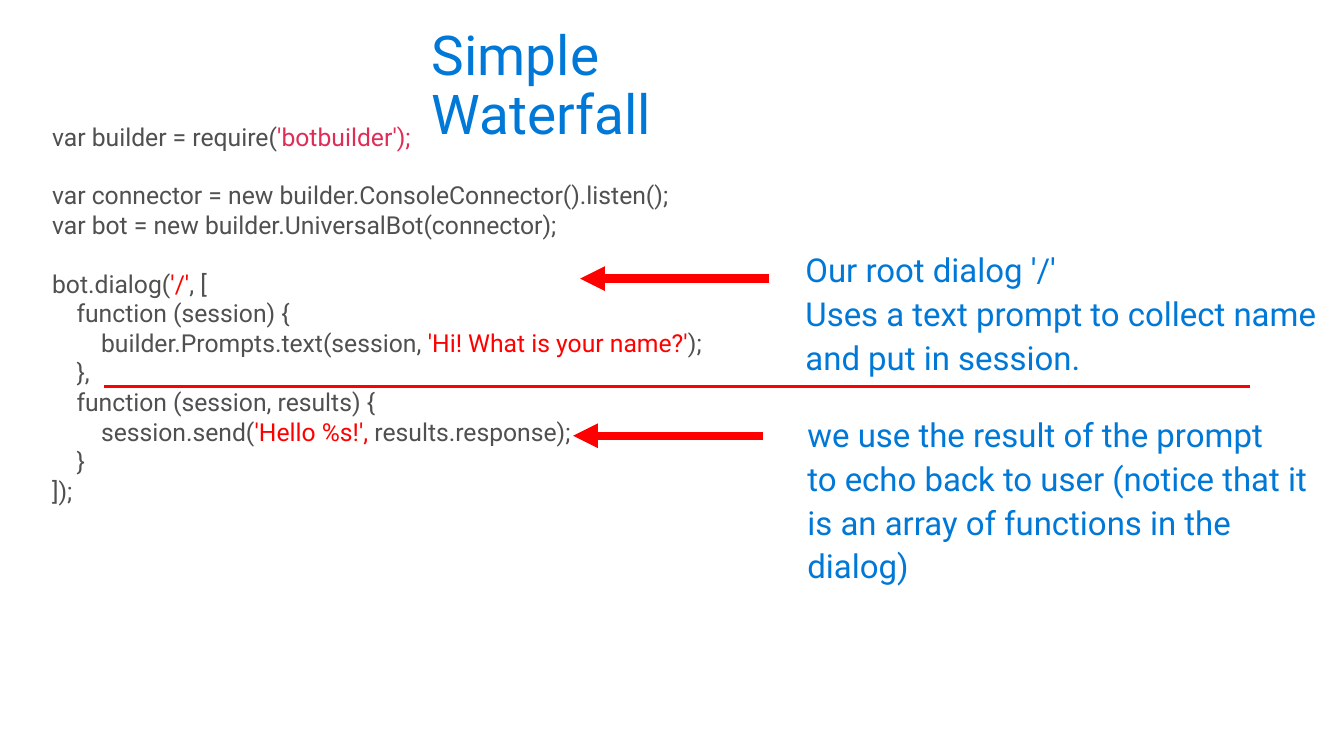
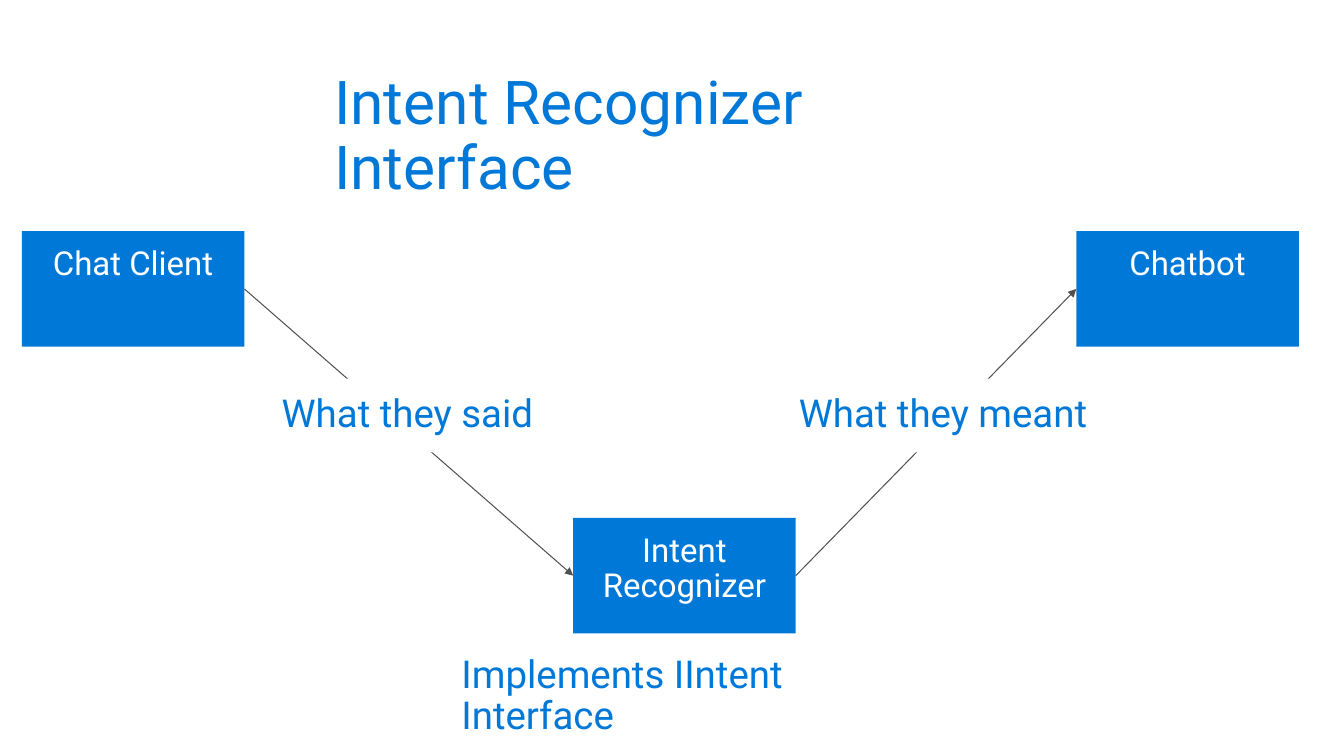
import lxml.etree
import pptx
import pptx.util
import pptx.dml.color
import pptx.enum.shapes
import pptx.enum.text
import pptx.oxml.ns

Cm = pptx.util.Cm
Pt = pptx.util.Pt
RGBColor = pptx.dml.color.RGBColor
PP_ALIGN = pptx.enum.text.PP_ALIGN
RECT = pptx.enum.shapes.MSO_SHAPE.RECTANGLE
qn = pptx.oxml.ns.qn

BLUE = RGBColor(0x00, 0x78, 0xD7)
GREY = RGBColor(0x50, 0x50, 0x50)
RED = RGBColor(0xFF, 0x00, 0x00)
PINK = RGBColor(0xDE, 0x2E, 0x58)
WHITE = RGBColor(0xFF, 0xFF, 0xFF)
FONT = "Roboto"
RIGHT_SIDE, LEFT_SIDE = 3, 1

CODE = [
    [("var builder = require(", GREY), ("'botbuilder');", PINK)],
    [],
    [("var connector = new builder.ConsoleConnector().listen();", GREY)],
    [("var bot = new builder.UniversalBot(connector);", GREY)],
    [],
    [("bot.dialog(", GREY), ("'/'", RED), (", [", GREY)],
    [("    function (session) {", GREY)],
    [("        builder.Prompts.text(session, ", GREY),
     ("'Hi! What is your name?'", RED), (");", GREY)],
    [("    },", GREY)],
    [("    function (session, results) {", GREY)],
    [("        session.send(", GREY), ("'Hello %s!', ", RED),
     ("results.response);", GREY)],
    [("    }", GREY)],
    [("]);", GREY)],
]


def set_font(p, size, color=None):
    p.font.name = FONT
    p.font.size = Pt(size)
    if color is not None:
        p.font.color.rgb = color


def write(sp, lines, size, color=BLUE, align=PP_ALIGN.LEFT, after=6):
    tf = sp.text_frame
    tf.word_wrap = True
    tf.auto_size = pptx.enum.text.MSO_AUTO_SIZE.NONE
    tf.vertical_anchor = pptx.enum.text.MSO_ANCHOR.TOP
    tf.margin_left = tf.margin_right = Cm(0.51)
    tf.margin_top = tf.margin_bottom = Cm(0.41)
    for i, line in enumerate(lines):
        p = tf.add_paragraph() if i else tf.paragraphs[0]
        p.text = line
        p.alignment = align
        p.line_spacing = 0.9
        p.space_before = Pt(0)
        p.space_after = Pt(after)
        set_font(p, size, color)


def add_titled_slide(prs, title, x, y, w, h, size):
    slide = prs.slides.add_slide(prs.slide_layouts[5])
    sp = slide.shapes.title
    sp.left, sp.top, sp.width, sp.height = Cm(x), Cm(y), Cm(w), Cm(h)
    write(sp, [title], size)
    return slide


def add_code(slide, lines, x, y, w, h, size):
    tf = slide.shapes.add_textbox(Cm(x), Cm(y), Cm(w), Cm(h)).text_frame
    tf.word_wrap = True
    p, gap = tf.paragraphs[0], 0
    for i, line in enumerate(lines):
        if not line:
            gap = size * 1.17
            continue
        if i:
            p = tf.add_paragraph()
        p.space_before = Pt(gap)
        gap = 0
        set_font(p, size)
        for text, color in line:
            r = p.add_run()
            r.text = text
            r.font.color.rgb = color


def add_note(slide, lines, x, y, w, h):
    write(slide.shapes.add_textbox(Cm(x), Cm(y), Cm(w), Cm(h)), lines, 24)


def add_rect(slide, x, y, w, h, fill):
    sp = slide.shapes.add_shape(RECT, Cm(x), Cm(y), Cm(w), Cm(h))
    sp.shadow.inherit = False
    sp.fill.solid()
    sp.fill.fore_color.rgb = fill
    sp.line.fill.background()
    return sp


def add_box(slide, lines, x, y):
    sp = add_rect(slide, x, y, 5.72, 2.97, BLUE)
    write(sp, lines, 24, WHITE, PP_ALIGN.CENTER, after=0)
    return sp


def add_label(slide, text, x, y, w):
    write(add_rect(slide, x, y, w, 1.9, WHITE), [text], 28)


def add_line(slide, x1, y1, x2, y2, color, width, arrow=True):
    line = slide.shapes.add_connector(
        pptx.enum.shapes.MSO_CONNECTOR.STRAIGHT, Cm(x1), Cm(y1), Cm(x2), Cm(y2))
    line.line.color.rgb = color
    line.line.width = Pt(width)
    sp_pr = line.element.find(qn("p:spPr"))
    if arrow:
        lxml.etree.SubElement(sp_pr.find(qn("a:ln")), qn("a:tailEnd"), type="triangle")
    lxml.etree.SubElement(sp_pr, qn("a:effectLst"))
    return line


def join(slide, start, end):
    line = add_line(slide, 0, 0, 1, 1, GREY, 0.75)
    line.begin_connect(start, RIGHT_SIDE)
    line.end_connect(end, LEFT_SIDE)


def build_waterfall(prs):
    slide = add_titled_slide(prs, "Simple Waterfall", 10.59, 0.3, 10.6, 2.36, 40)
    add_code(slide, CODE, 1.09, 3, 17.27, 10.26, 18)
    add_line(slide, 2.67, 9.93, 32.13, 9.93, RED, 2.25, arrow=False)
    add_line(slide, 19.76, 7.16, 14.91, 7.16, RED, 6)
    add_note(slide, ["Our root dialog '/'",
                     "Uses a text prompt to collect name",
                     "and put in session."], 20.19, 6.12, 14.35, 4.01)
    add_line(slide, 19.61, 11.2, 14.73, 11.2, RED, 6)
    add_note(slide, ["we use the result of the prompt",
                     "to echo back to user (notice that it",
                     "is an array of functions in the",
                     "dialog)"], 20.24, 10.36, 14.3, 5.16)


def build_recognizer(prs):
    slide = add_titled_slide(prs, "Intent Recognizer Interface",
                             8.08, 1.45, 19, 2.51, 44)
    client = add_box(slide, ["Chat Client"], 0.56, 5.94)
    chatbot = add_box(slide, ["Chatbot"], 27.66, 5.94)
    recognizer = add_box(slide, ["Intent", "Recognizer"], 14.73, 13.31)
    join(slide, client, recognizer)
    join(slide, recognizer, chatbot)
    add_label(slide, "What they said", 6.73, 9.73, 7.57)
    add_label(slide, "What they meant", 20.02, 9.73, 8.61)
    add_label(slide, "Implements IIntent Interface", 11.35, 16.43, 13)


def main():
    prs = pptx.Presentation()
    prs.slide_width, prs.slide_height = Cm(34.54), Cm(19.43)
    build_waterfall(prs)
    build_recognizer(prs)
    prs.save("out.pptx")


if __name__ == "__main__":
    main()
